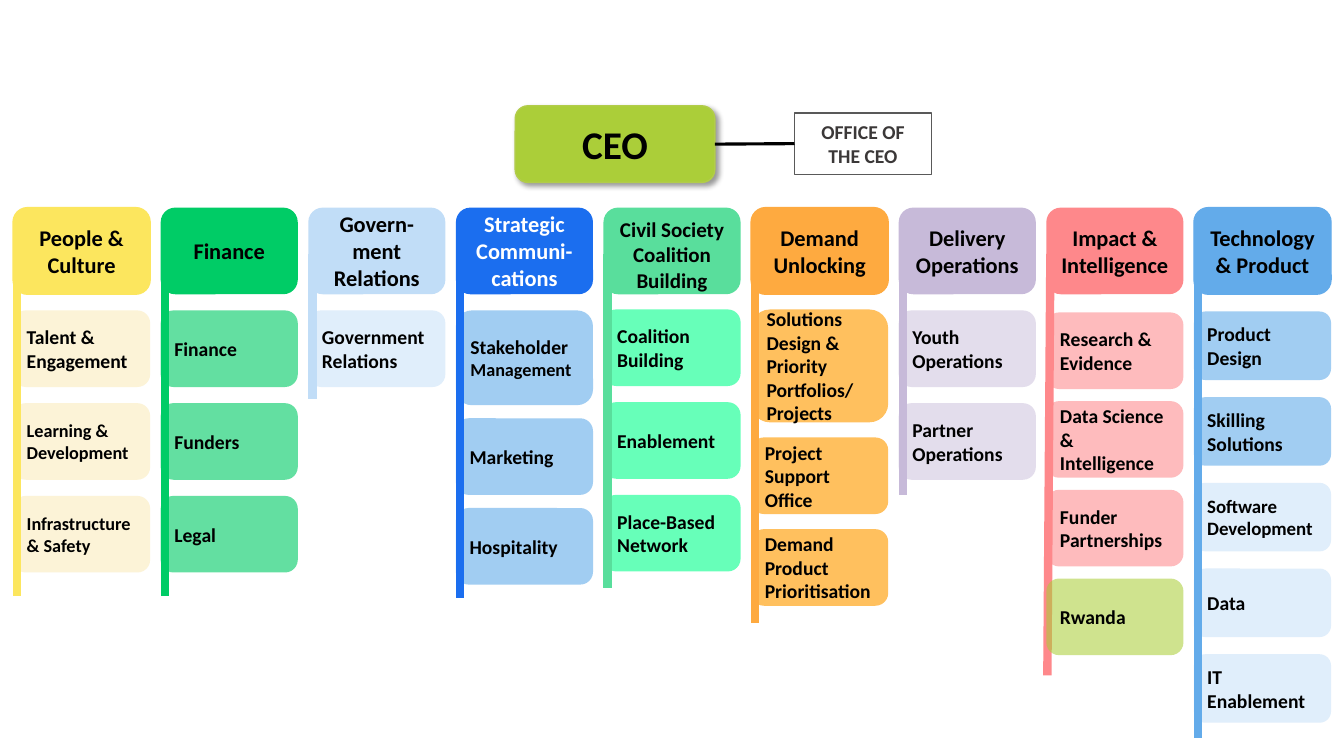
from dataclasses import dataclass

from lxml.etree import SubElement
from pptx import Presentation
from pptx.dml.color import RGBColor
from pptx.enum.shapes import MSO_CONNECTOR as Connector, MSO_SHAPE as Shape
from pptx.enum.text import MSO_ANCHOR as Anchor, PP_ALIGN as Align
from pptx.oxml.ns import qn
from pptx.util import Inches, Pt

# Colours
BLACK = RGBColor(0x00, 0x00, 0x00)
WHITE = RGBColor(0xFF, 0xFF, 0xFF)
CHARCOAL = RGBColor(0x3B, 0x38, 0x38)
GREY = RGBColor(0x59, 0x59, 0x59)
LIME = RGBColor(0xAB, 0xCE, 0x39)
LIME_EDGE = RGBColor(0xB2, 0xCC, 0x4A)
YELLOW = RGBColor(0xFC, 0xE6, 0x5E)
CREAM = RGBColor(0xFC, 0xF3, 0xD7)
GREEN = RGBColor(0x00, 0xCC, 0x66)
PALE_BLUE = RGBColor(0xC1, 0xDD, 0xF7)
ICE = RGBColor(0xE0, 0xEE, 0xFB)
ROYAL = RGBColor(0x1B, 0x6E, 0xEF)
SKY = RGBColor(0xA1, 0xCD, 0xF2)
JADE = RGBColor(0x59, 0xDE, 0x9C)
MINT = RGBColor(0x67, 0xFF, 0xB9)
APRICOT = RGBColor(0xFE, 0xAA, 0x40)
ORANGE = RGBColor(0xFF, 0x9C, 0x00)
LILAC = RGBColor(0xC7, 0xBA, 0xD9)
PALE_LILAC = RGBColor(0xE3, 0xDD, 0xEC)
CORAL = RGBColor(0xFE, 0x88, 0x8B)
AZURE = RGBColor(0x63, 0xAB, 0xEA)

# Grid, in inches: nine department columns of equal pitch
GRID_LEFT, COLUMN_PITCH, BOX_WIDTH = 0.13, 1.464, 1.36
HEADER_TOP, HEADER_HEIGHT, UNIT_HEIGHT = 2.06, 0.86, 0.76
SPINE_INSET, SPINE_TOP = 0.04, 2.52


@dataclass
class Unit:
    text: str
    height: float = UNIT_HEIGHT
    size: float = 14
    fill: RGBColor = None
    tail: tuple = ()          # further run: (text, size)
    over_spine: bool = False


@dataclass
class Department:
    name: str
    fill: RGBColor
    unit_fill: RGBColor
    spine_end: float
    units: list
    first_top: float = 3.08
    gap: float = 0.16
    opacity: int = 100
    size: float = 16
    ink: RGBColor = BLACK
    edge: RGBColor = None
    anchor: Anchor = Anchor.MIDDLE
    spine_lean: float = 0


TECH_ROW = 0.68
DEPARTMENTS = [
    Department("People & Culture", YELLOW, CREAM, 5.91, [
        Unit("Talent & Engagement"),
        Unit("Learning & Development", size=13),
        Unit("Infrastructure & Safety", size=13)], edge=YELLOW),
    Department("Finance", GREEN, GREEN, 5.91, [
        Unit("Finance"), Unit("Funders"), Unit("Legal")], opacity=61),
    Department("Govern-\nment\nRelations", PALE_BLUE, ICE, 3.96, [
        Unit("Government Relations")]),
    Department("Strategic Communi-cations", ROYAL, SKY, 5.93, [
        Unit("Stakeholder ", height=0.94, tail=("Management", 13)),
        Unit("Marketing"), Unit("Hospitality")], gap=0.13, ink=WHITE),
    Department("Civil Society Coalition Building", JADE, MINT, 5.83, [
        Unit("Coalition Building"), Unit("Enablement"),
        Unit("Place-Based Network")],
        first_top=3.07, size=15, anchor=Anchor.TOP),
    Department("Demand Unlocking", APRICOT, ORANGE, 6.18, [
        Unit("Solutions Design & Priority Portfolios/ Projects", height=1.12),
        Unit("Project Support Office"),
        Unit("Demand Product Prioritisation")],
        first_top=3.07, gap=0.15, opacity=63, edge=APRICOT),
    Department("Delivery Operations", LILAC, PALE_LILAC, 4.91, [
        Unit("Youth Operations"), Unit("Partner Operations")]),
    Department("Impact & Intelligence", CORAL, CORAL, 6.7, [
        Unit("Research & Evidence"), Unit("Data Science & Intelligence"),
        Unit("Funder Partnerships"),
        Unit("Rwanda", fill=LIME, over_spine=True)],
        first_top=3.1, gap=0.12, opacity=57, spine_lean=-0.03),
    Department("Technology & Product", AZURE, SKY, 7.32, [
        Unit("Product Design", TECH_ROW), Unit("Skilling Solutions", TECH_ROW),
        Unit("Software Development", TECH_ROW, 13.5, ICE),
        Unit("Data", TECH_ROW, fill=ICE),
        Unit("IT Enablement", TECH_ROW, fill=ICE)],
        first_top=3.09, gap=0.17, edge=AZURE),
]


def set_all(target, values):
    for attribute, value in values.items():
        setattr(target, attribute, value)


def add_run(paragraph, text, size, ink):
    run = paragraph.add_run()
    run.text = text
    set_all(run.font, {"name": "Calibri", "size": Pt(size), "bold": True})
    run.font.color.rgb = ink


def add_box(slide, bounds, runs, fill=None, edge=None, opacity=100, ink=BLACK,
            align=Align.CENTER, anchor=Anchor.MIDDLE, kind=Shape.ROUNDED_RECTANGLE):
    """Box with text; each newline in a run starts a paragraph."""
    box = slide.shapes.add_shape(kind, *map(Inches, bounds))
    box.shadow.inherit = False
    if fill is None:
        box.fill.background()
    else:
        box.fill.solid()
        box.fill.fore_color.rgb = fill
        if opacity < 100:
            colour = box.fill._xPr.find(qn("a:solidFill"))[0]
            SubElement(colour, qn("a:alpha"), val=str(opacity * 1000))
    if edge is None:
        box.line.fill.background()
    else:
        box.line.color.rgb = edge
        box.line.width = Pt(1)
    frame = box.text_frame
    set_all(frame, {"word_wrap": True, "vertical_anchor": anchor})
    paragraph = frame.paragraphs[0]
    for text, size in runs:
        for index, line in enumerate(text.split("\n")):
            if index:
                paragraph = frame.add_paragraph()
            paragraph.alignment = align
            add_run(paragraph, line, size, ink)
    return box


def add_line(slide, start, end, colour, width):
    line = slide.shapes.add_connector(
        Connector.STRAIGHT, *map(Inches, (*start, *end)))
    line.line.color.rgb = colour
    line.line.width = Pt(width)
    SubElement(line._element.spPr, qn("a:effectLst"))
    return line


def add_drop_shadow(box):
    effects = box._element.spPr.find(qn("a:effectLst"))
    shadow = SubElement(effects, qn("a:outerShdw"), blurRad=str(Pt(4)),
                        dist=str(Pt(3)), dir=str(45 * 60000), algn="tl")
    colour = SubElement(shadow, qn("a:srgbClr"), val=str(BLACK))
    SubElement(colour, qn("a:alpha"), val="40000")


def add_department(slide, column, dept):
    left = GRID_LEFT + column * COLUMN_PITCH
    add_box(slide, (left, HEADER_TOP, BOX_WIDTH, HEADER_HEIGHT),
            [(dept.name, dept.size)], dept.fill, dept.edge,
            ink=dept.ink, anchor=dept.anchor)

    def add_unit(unit, top):
        runs = [(unit.text, unit.size)] + ([unit.tail] if unit.tail else [])
        add_box(slide, (left, top, BOX_WIDTH, unit.height), runs,
                unit.fill or dept.unit_fill, opacity=dept.opacity,
                align=Align.LEFT)

    # Units stacked from the top, then the spine, then any unit over it
    top, in_front = dept.first_top, []
    for unit in dept.units:
        if unit.over_spine:
            in_front.append((unit, top))
        else:
            add_unit(unit, top)
        top += unit.height + dept.gap
    spine = left + SPINE_INSET
    add_line(slide, (spine, SPINE_TOP),
             (spine + dept.spine_lean, dept.spine_end), dept.fill, 6)
    for unit, unit_top in in_front:
        add_unit(unit, unit_top)


def main():
    deck = Presentation()
    set_all(deck, {"slide_width": Inches(13.33), "slide_height": Inches(7.5)})
    slide = deck.slides.add_slide(deck.slide_layouts[6])

    # Chief executive and attached office
    ceo = add_box(slide, (5.11, 1.05, 1.98, 0.76), [("CEO", 28)], LIME, LIME_EDGE)
    add_drop_shadow(ceo)
    office = add_box(slide, (7.88, 1.12, BOX_WIDTH, 0.61),
                     [("OFFICE OF THE CEO", 14)], edge=GREY, ink=CHARCOAL,
                     kind=Shape.RECTANGLE)
    link = add_line(slide, (7.88, 1.43), (7.09, 1.43), BLACK, 2.25)
    link.begin_connect(office, 1)
    link.end_connect(ceo, 3)

    # Departments
    for column, dept in enumerate(DEPARTMENTS):
        add_department(slide, column, dept)

    deck.save("out.pptx")


if __name__ == "__main__":
    main()
